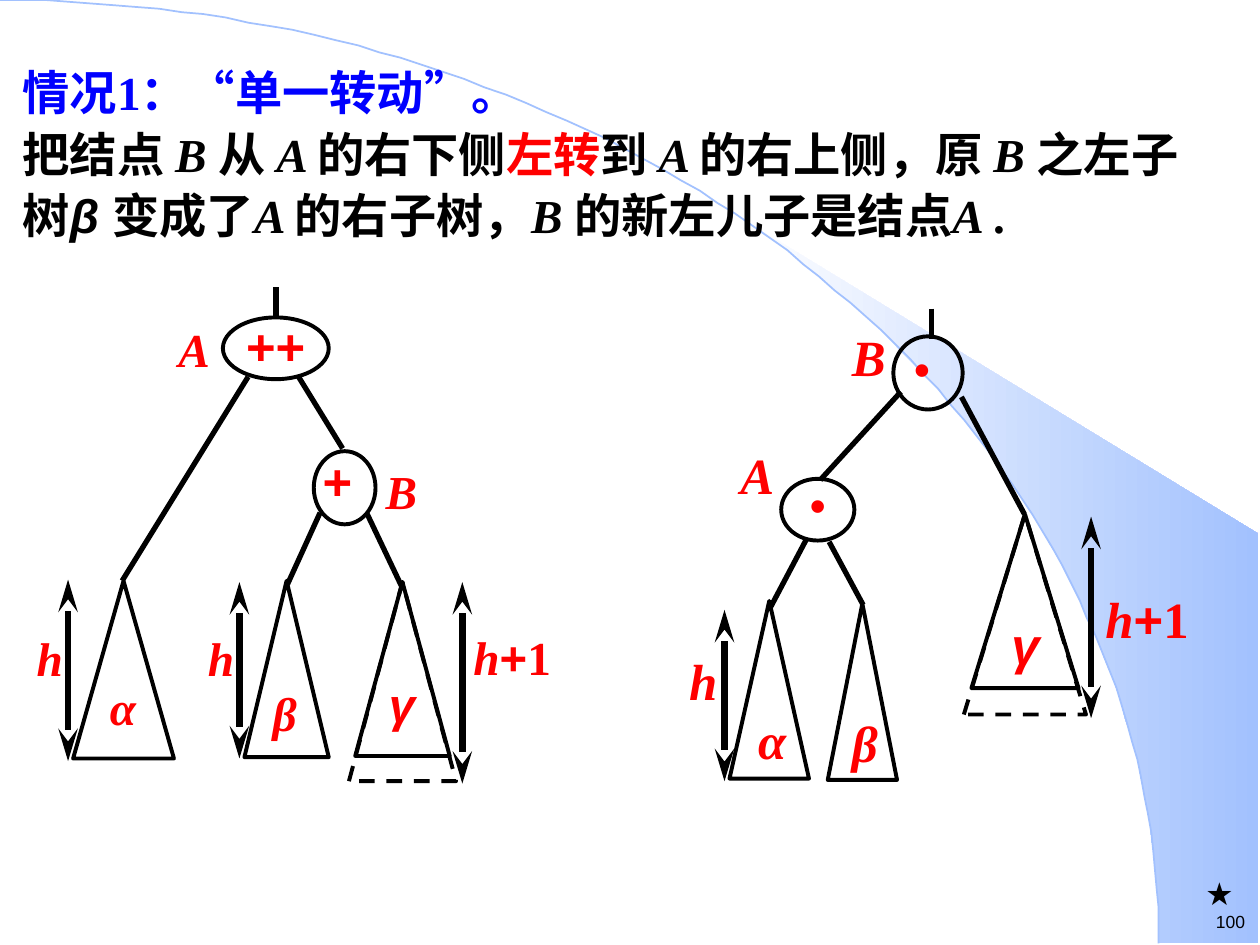
"""Draw the single-rotation slide: a tree before and after the turn."""
from math import asin, cos, pi, sin
from typing import Any, NamedTuple

from lxml.etree import SubElement as Sub
from pptx import Presentation as Deck
from pptx.dml.color import RGBColor as Rgb
from pptx.enum.dml import MSO_LINE as Dash
from pptx.enum.shapes import MSO_CONNECTOR as Link, MSO_SHAPE as Form
from pptx.enum.text import MSO_ANCHOR as Anchor, PP_ALIGN as Align
from pptx.oxml.ns import qn
from pptx.util import Pt

HEX = {"ink": "000000", "red": "FF0000", "blue": "0000FF", "sky": "A2C1FE", "white": "FFFFFF"}
SANS, ROMAN, HAN = "Arial", "Times New Roman", "Noto Sans CJK SC"
WIDE, HIGH = 662.4, 539.3


class Box(NamedTuple):
    x: float
    y: float
    w: float
    h: float


class Bit(NamedTuple):
    text: str
    font: str = ROMAN
    ital: bool = True
    tint: str = "red"
    bold: bool = True


class Style(NamedTuple):
    size: float
    lead: Any = None
    align: Any = Align.CENTER
    pad: tuple = (0, 0)
    wrap: bool = False


class Node(NamedTuple):
    box: Box
    text: str
    size: float
    lead: Any = 0.8


class Label(NamedTuple):
    box: Box
    bits: list
    lead: float = 0.88
    top: float = 0


class Tree(NamedTuple):
    size: float
    edges: list
    cones: list
    nodes: list
    spans: list
    labels: list


def tone(name: str) -> Rgb:
    return Rgb.from_string(HEX[name])


def write(frame: Any, bits: list, style: Style) -> None:
    side, top = style.pad
    frame.margin_left = frame.margin_right = Pt(side)
    frame.margin_top, frame.margin_bottom = Pt(top), Pt(top if side else 0)
    frame.vertical_anchor, frame.word_wrap = Anchor.TOP, style.wrap
    para = frame.paragraphs[0]
    para.alignment, para.line_spacing = style.align, style.lead
    for bit in bits:
        if bit.text == "\n":
            para.add_line_break()
            continue
        run = para.add_run()
        run.text = bit.text
        font = run.font
        font.name, font.size = bit.font, Pt(style.size)
        font.bold, font.italic = bit.bold, bit.ital
        font.color.rgb = tone(bit.tint)
        if bit.font == HAN:
            Sub(run._r.get_or_add_rPr(), qn("a:ea"), typeface=HAN)


def note(board: Any, box: Box, bits: list, style: Style) -> None:
    write(board.add_textbox(*map(Pt, box)).text_frame, bits, style)


def shape(board: Any, form: Any, box: Box, dash: bool = False) -> Any:
    item = board.add_shape(form, *map(Pt, box))
    item.shadow.inherit = False
    item.fill.background()
    item.line.color.rgb, item.line.width = tone("ink"), Pt(2.25)
    if dash:
        item.line.dash_style = Dash.DASH
    return item


def line(board: Any, ends: tuple, thick: float, heads: bool = False) -> None:
    item = board.add_connector(Link.STRAIGHT, *map(Pt, ends))
    item.line.color.rgb, item.line.width = tone("ink"), Pt(thick)
    Sub(item._element.spPr, qn("a:effectLst"))
    for tag in ("a:headEnd", "a:tailEnd") if heads else ():
        Sub(item.line._get_or_add_ln(), qn(tag), type="stealth", w="med", len="lg")


def curve(start: float, steps: int) -> list:
    turns = [start + (pi / 2 - start) * i / steps for i in range(steps + 1)]
    return [(WIDE * sin(t), HIGH * (1 - cos(t))) for t in turns]


def trace(board: Any, dots: list, close: bool) -> Any:
    pen = board.build_freeform(*dots[0], scale=float(Pt(1)))
    pen.add_line_segments(dots[1:], close=close)
    item = pen.convert_to_shape()
    item.shadow.inherit = False
    return item


def swoosh(board: Any) -> None:
    dots = curve(asin(424 / WIDE), 40) + [(719.3, HIGH), (719.3, 304.6)]
    wedge = trace(board, dots, True)
    wedge.line.fill.background()
    wedge.fill.gradient()
    wedge.fill.gradient_angle = 0
    for stop, name, place in zip(wedge.fill.gradient_stops, ("white", "sky"), (0, 1)):
        stop.color.rgb, stop.position = tone(name), place
    rim = trace(board, curve(0, 80), False)
    rim.fill.background()
    rim.line.color.rgb, rim.line.width = tone("sky"), Pt(1)


def draw(board: Any, tree: Tree) -> None:
    for i, box in enumerate(tree.cones):
        shape(board, Form.ISOSCELES_TRIANGLE, box, dash=i == 0)
    for node in tree.nodes:
        oval = shape(board, Form.OVAL, node.box)
        write(oval.text_frame, [Bit(node.text, SANS, False)], Style(node.size, node.lead))
    for ends in tree.edges:
        line(board, ends, 3)
    for x, top, low in tree.spans:
        line(board, (x, top, x, low), 3.75, heads=True)
    for label in tree.labels:
        style = Style(tree.size, label.lead, pad=(0, label.top))
        note(board, label.box, label.bits, style)


def name(text: str, *box: float) -> Label:
    return Label(Box(*box, 28.1), [Bit(text)], 0.96)


def height(x: float, y: float, w: float, more: bool = False) -> Label:
    plus = [Bit("+", SANS, False), Bit("1", ROMAN, False)] if more else []
    return Label(Box(x, y, w, 28.1), [Bit("h"), *plus], 0.8, 2.9)


def greek(text: str, *box: float, font: str = ROMAN, lead: float = 0.88) -> Label:
    return Label(Box(*box), [Bit(text, font)], lead)


def han(text: str, tint: str = "ink") -> Bit:
    return Bit(text, HAN, False, tint)


def var(text: str, font: str = ROMAN) -> Bit:
    return Bit(text + " ", font, True, "ink")


BEFORE = Tree(
    27,
    [(141.8, 215.3, 69.8, 331.9), (170.6, 215.3, 195.8, 256.3), (157.7, 164.2, 157.7, 182.2),
     (182.9, 293, 164.2, 334.1), (209.5, 293, 229.7, 335.5)],
    [Box(199.4, 332.6, 61.2, 113.8), Box(203, 332.6, 54, 99.4),
     Box(41.8, 331.9, 57.6, 101.5), Box(139.7, 331.9, 48.2, 100.8)],
    [Node(Box(127.4, 181.4, 60.5, 35.3), "++", 29), Node(Box(179.3, 257.8, 35.3, 41.8), "+ ", 29)],
    [(38.9, 331.2, 434.9), (136.8, 332.6, 433.4), (264.2, 332.6, 447.8)],
    [greek("α", 58.3, 391, 23.8, 30.2, lead=0.9), greek("β", 152.6, 395.3, 20.2, 29.5),
     greek("γ", 218.9, 390.2, 21.6, 34.6, font=SANS), name("B", 218.9, 266.4, 20.9),
     name("A", 100.8, 185, 20.2), height(20.9, 362.9, 13.7), height(118.8, 362.9, 13.7),
     height(267.8, 362.2, 49.7, True)])
AFTER = Tree(
    29,
    [(549.4, 226.8, 585.4, 293.8), (532.1, 176.4, 532.1, 193.7), (514.8, 223.9, 468.7, 274.3),
     (460.8, 308.2, 439.9, 347.8), (473.8, 309.6, 493.2, 345.6)],
    [Box(550.8, 293.8, 69.8, 114.5), Box(555.1, 293.8, 61.2, 99.4),
     Box(416.9, 343.4, 45.4, 101.5), Box(473, 344.9, 39.6, 100.8)],
    [Node(Box(446.4, 273.6, 41.8, 35.3), "•", 25),
     Node(Box(510.5, 192.2, 39.6, 41.8), "• ", 25, Pt(27))],
    [(414, 348.5, 446.4), (623.5, 295.2, 410.4)],
    [greek("α", 429.8, 409, 23, 31.7, lead=0.9), greek("β", 483.1, 411.1, 22.3, 29.5),
     greek("γ", 573.8, 355, 24.5, 34.6, font=SANS), name("B", 484.6, 188.6, 23.8),
     name("A", 421.2, 255.6, 23), height(393.8, 375.1, 15.8), height(627.8, 339.8, 55.4, True)])
CASE = [
    han("情况", "blue"), Bit("1", ROMAN, False, "blue"), han("：“单一转动”。", "blue"), Bit("\n"),
    han("把结点 "), var("B"), han("从 "), var("A"), han("的右下侧"), han("左转", "red"),
    han("到 "), var("A"), han("的右上侧，原 "), var("B"), han("之左子树"), var("β", SANS),
    han("变成了"), var("A"), han("的右子树，"), var("B"), han("的新左儿子是结点"), var("A"),
    Bit(".", ROMAN, False, "ink")]


def main() -> None:
    deck = Deck()
    deck.slide_width, deck.slide_height = Pt(720), Pt(540)
    board = deck.slides.add_slide(deck.slide_layouts[6]).shapes
    swoosh(board)
    plain = Bit("100", SANS, False, "ink", False)
    note(board, Box(677.5, 517, 35.3, 19.4), [plain], Style(10, None, Align.RIGHT, (1.4, 3.6), True))
    note(board, Box(5.8, 30.2, 689, 112.3), CASE, Style(27, Pt(35), Align.LEFT, (7.2, 3.6), True))
    for tree in (BEFORE, AFTER):
        draw(board.add_group_shape().shapes, tree)
    star = plain._replace(text="★")
    note(board, Box(681.8, 496.1, 28.8, 28.8), [star], Style(18, None, Align.LEFT, (7.2, 3.6)))
    deck.save("out.pptx")


if __name__ == "__main__":
    main()
